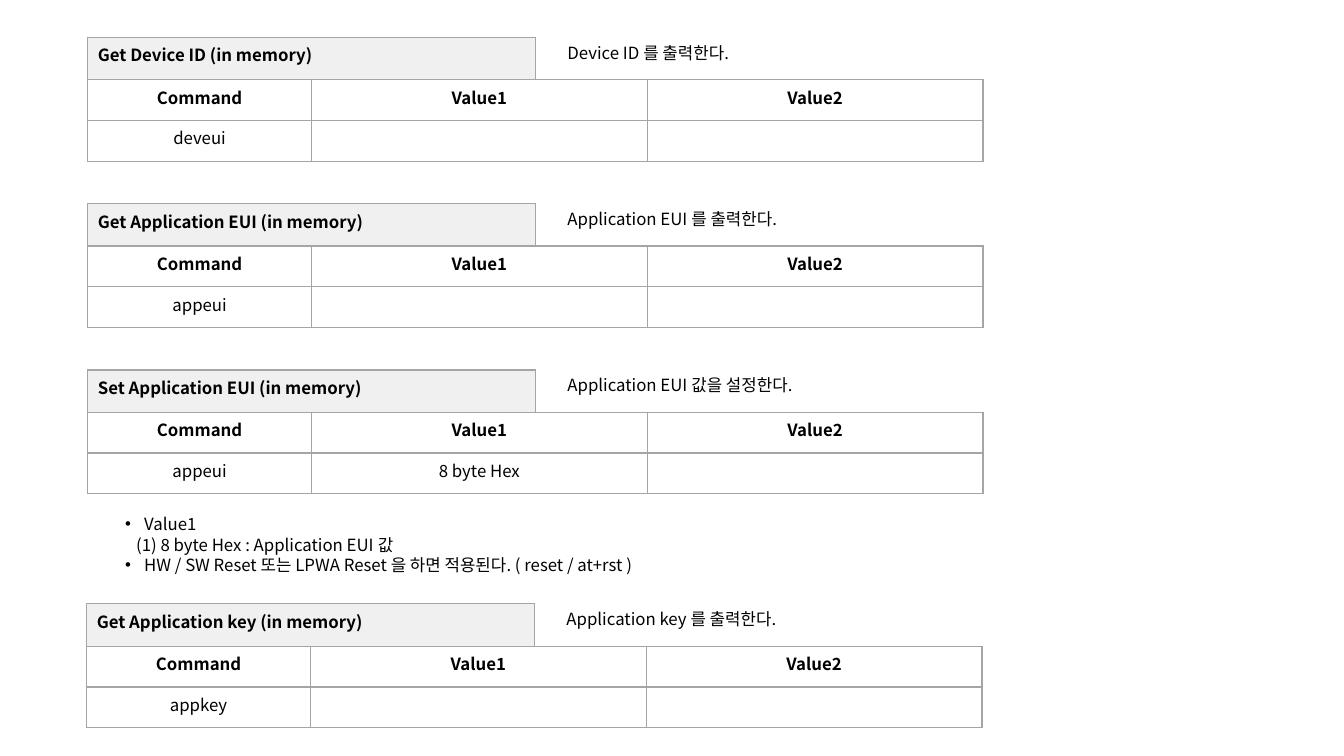
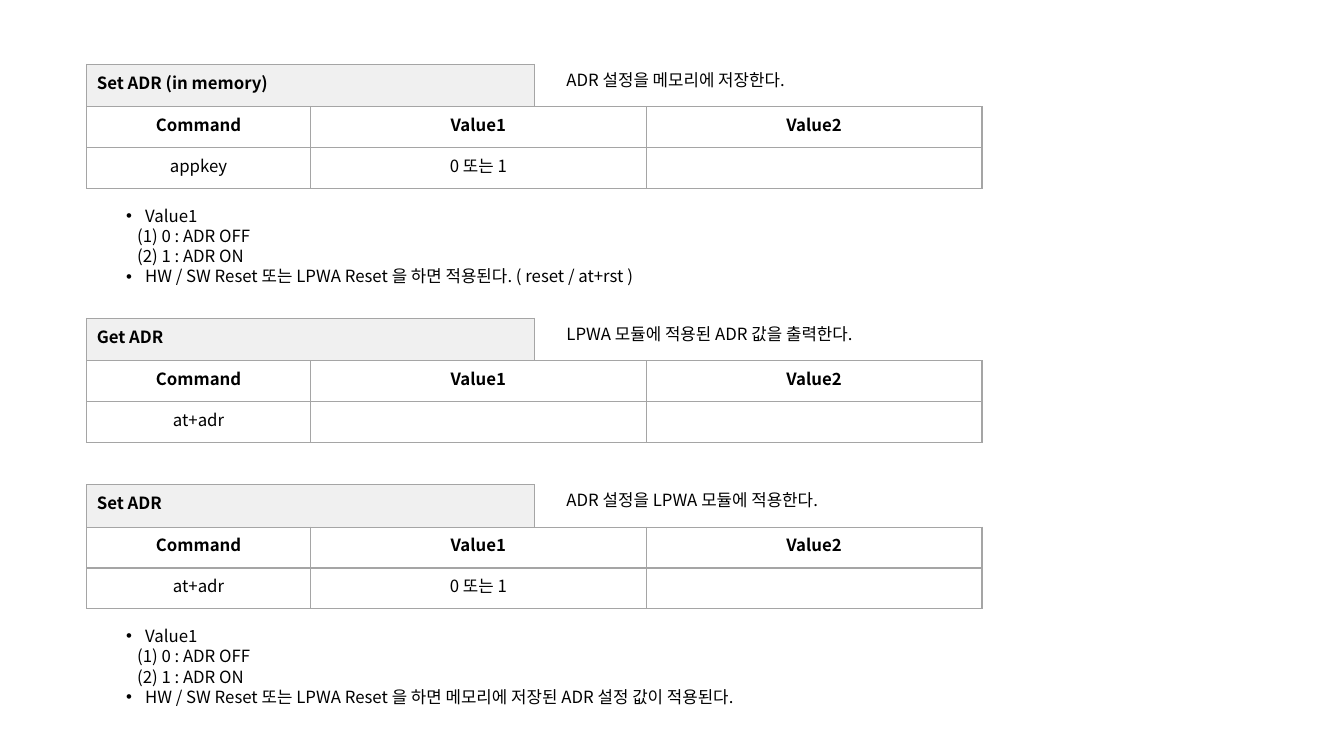
from dataclasses import dataclass
from typing import Any, NamedTuple, Optional

from lxml.etree import SubElement
from pptx import Presentation
from pptx.dml.color import RGBColor as Rgb
from pptx.enum.text import MSO_AUTO_SIZE as AutoSize, MSO_ANCHOR as Anchor, PP_ALIGN as Align
from pptx.oxml import parse_xml
from pptx.oxml.ns import nsdecls, qn
from pptx.util import Inches, Pt


@dataclass(frozen=True)
class Theme:
    font: str = "Noto Sans CJK KR"
    size: Any = Pt(12)
    leading: Any = Pt(14.4)
    ink: Any = Rgb.from_string("000000")
    band: Any = Rgb.from_string("F0F0F0")
    border: str = "A5A5A5"
    border_width: Any = Pt(1)


THEME = Theme()
BAND_WIDTH, BAND_HEIGHT, ROW_HEIGHT = 4.44, 0.42, 0.405
COLUMNS = (2.22, 3.33, 3.33)
HEADER = ("Command", "Value1", "Value2")
SUMMARY_OFFSET = 4.66
BULLET_INDENT, OPTION_INDENT = 0.19, 0.11
TWO_CONTENT = 3


class Notes(NamedTuple):
    left: float
    top: float
    width: float
    options: tuple[str, ...]
    effect: str


class Command(NamedTuple):
    left: float
    top: float
    heading: str
    summary: str
    summary_width: float
    name: str
    value: str = ""
    notes: Optional[Notes] = None


RESET = "HW / SW Reset 또는 LPWA Reset 을 하면 적용된다. ( reset / at+rst )"
RESET_STORED = "HW / SW Reset 또는 LPWA Reset 을 하면 메모리에 저장된 ADR 설정 값이 적용된다."
ADR_OPTIONS = ("(1) 0 : ADR OFF", "(2) 1 : ADR ON")
EUI_OPTIONS = ("(1) 8 byte Hex : Application EUI 값",)

SLIDES = (
    (
        Command(0.87, 0.37, "Get Device ID (in memory)", "Device ID 를 출력한다.", 1.93, "deveui"),
        Command(0.87, 2.02, "Get Application EUI (in memory)",
                "Application EUI 를 출력한다.", 2.37, "appeui"),
        Command(0.87, 3.67, "Set Application EUI (in memory)",
                "Application EUI 값을 설정한다.", 2.54, "appeui", "8 byte Hex",
                Notes(1.14, 5.05, 5.56, EUI_OPTIONS, RESET)),
        Command(0.86, 5.99, "Get Application key (in memory)",
                "Application key 를 출력한다.", 2.38, "appkey"),
    ),
    (
        Command(0.86, 0.64, "Set ADR (in memory)", "ADR 설정을 메모리에 저장한다.", 2.66,
                "appkey", "0 또는 1", Notes(1.15, 1.99, 5.56, ADR_OPTIONS, RESET)),
        Command(0.86, 3.16, "Get ADR", "LPWA 모듈에 적용된 ADR 값을 출력한다.", 3.26, "at+adr"),
        Command(0.86, 4.81, "Set ADR", "ADR 설정을 LPWA 모듈에 적용한다.", 2.87,
                "at+adr", "0 또는 1", Notes(1.15, 6.16, 6.78, ADR_OPTIONS, RESET_STORED)),
    ),
)


def apply(target: Any, values: dict[str, Any]) -> None:
    for attribute, value in values.items():
        setattr(target, attribute, value)


def write(paragraph: Any, text: str, bold: bool = False) -> None:
    run = paragraph.add_run()
    run.text = text
    apply(run.font, {"name": THEME.font, "size": THEME.size, "bold": bold})
    run.font.color.rgb = THEME.ink
    SubElement(run.font._element, qn("a:ea"), typeface=THEME.font)


def write_lines(frame: Any, lines: list[tuple[str, float, bool]]) -> None:
    apply(frame, {"word_wrap": False, "auto_size": AutoSize.SHAPE_TO_FIT_TEXT,
                  "vertical_anchor": Anchor.TOP})
    for index, (text, indent, bulleted) in enumerate(lines):
        line = frame.add_paragraph() if index else frame.paragraphs[0]
        properties = line._p.get_or_add_pPr()
        properties.set("marL", str(Inches(indent)))
        properties.set("indent", str(-Inches(indent) if bulleted else 0))
        if bulleted:
            SubElement(properties, qn("a:buChar"), char="•")
        else:
            SubElement(properties, qn("a:buNone"))
        apply(line, {"alignment": Align.LEFT, "line_spacing": THEME.leading,
                     "space_before": Pt(0), "space_after": Pt(0)})
        write(line, text)


def outline(cell: Any) -> None:
    properties = cell._tc.get_or_add_tcPr()
    for index, side in enumerate(("lnL", "lnR", "lnT", "lnB")):
        properties.insert(index, parse_xml(
            f'<a:{side} {nsdecls("a")} w="{THEME.border_width}"><a:solidFill>'
            f'<a:srgbClr val="{THEME.border}"/></a:solidFill></a:{side}>'))


def add_grid(slide: Any, left: float, top: float, columns: tuple[float, ...], row_height: float,
             rows: tuple[tuple[str, ...], ...], align: Any, fill: Any = None) -> None:
    grid = slide.shapes.add_table(len(rows), len(columns), Inches(left), Inches(top),
                                  Inches(sum(columns)), Inches(row_height * len(rows))).table
    apply(grid, {"first_row": False, "horz_banding": False})
    for column, width in zip(grid.columns, columns):
        column.width = Inches(width)
    for row_index, texts in enumerate(rows):
        grid.rows[row_index].height = Inches(row_height)
        for column_index, text in enumerate(texts):
            cell = grid.cell(row_index, column_index)
            if fill is None:
                cell.fill.background()
            else:
                cell.fill.solid()
                cell.fill.fore_color.rgb = fill
            outline(cell)
            paragraph = cell.text_frame.paragraphs[0]
            paragraph.alignment = align
            if text:
                write(paragraph, text, bold=row_index == 0)
            else:
                SubElement(paragraph._p, qn("a:endParaRPr"), sz=str(int(THEME.size.pt * 100)))


def add_notes(body: Any, notes: Notes) -> None:
    options = [(option, OPTION_INDENT, False) for option in notes.options]
    lines = [("Value1", BULLET_INDENT, True), *options, (notes.effect, BULLET_INDENT, True)]
    apply(body, {"left": Inches(notes.left), "top": Inches(notes.top),
                 "width": Inches(notes.width), "height": Inches(0.1 + 0.2 * len(lines))})
    write_lines(body.text_frame, lines)


def add_command(slide: Any, command: Command) -> None:
    add_grid(slide, command.left, command.top, (BAND_WIDTH,), BAND_HEIGHT,
             ((command.heading,),), Align.LEFT, THEME.band)
    summary = slide.shapes.add_textbox(
        Inches(command.left + SUMMARY_OFFSET), Inches(command.top),
        Inches(command.summary_width), Inches(0.3))
    write_lines(summary.text_frame, [(command.summary, 0, False)])
    add_grid(slide, command.left, command.top + BAND_HEIGHT, COLUMNS, ROW_HEIGHT,
             (HEADER, (command.name, command.value, "")), Align.CENTER)


def build_slide(deck: Any, commands: tuple[Command, ...]) -> None:
    slide = deck.slides.add_slide(deck.slide_layouts[TWO_CONTENT])
    title, *bodies = list(slide.placeholders)
    all_notes = [command.notes for command in commands if command.notes]
    for body, notes in zip(bodies, all_notes):
        add_notes(body, notes)
    for unused in (title, *bodies[len(all_notes):]):
        unused.element.getparent().remove(unused.element)
    for command in commands:
        add_command(slide, command)


def main() -> None:
    deck = Presentation()
    apply(deck, {"slide_width": Inches(13.33), "slide_height": Inches(7.5)})
    for commands in SLIDES:
        build_slide(deck, commands)
    deck.save("out.pptx")


if __name__ == "__main__":
    main()
